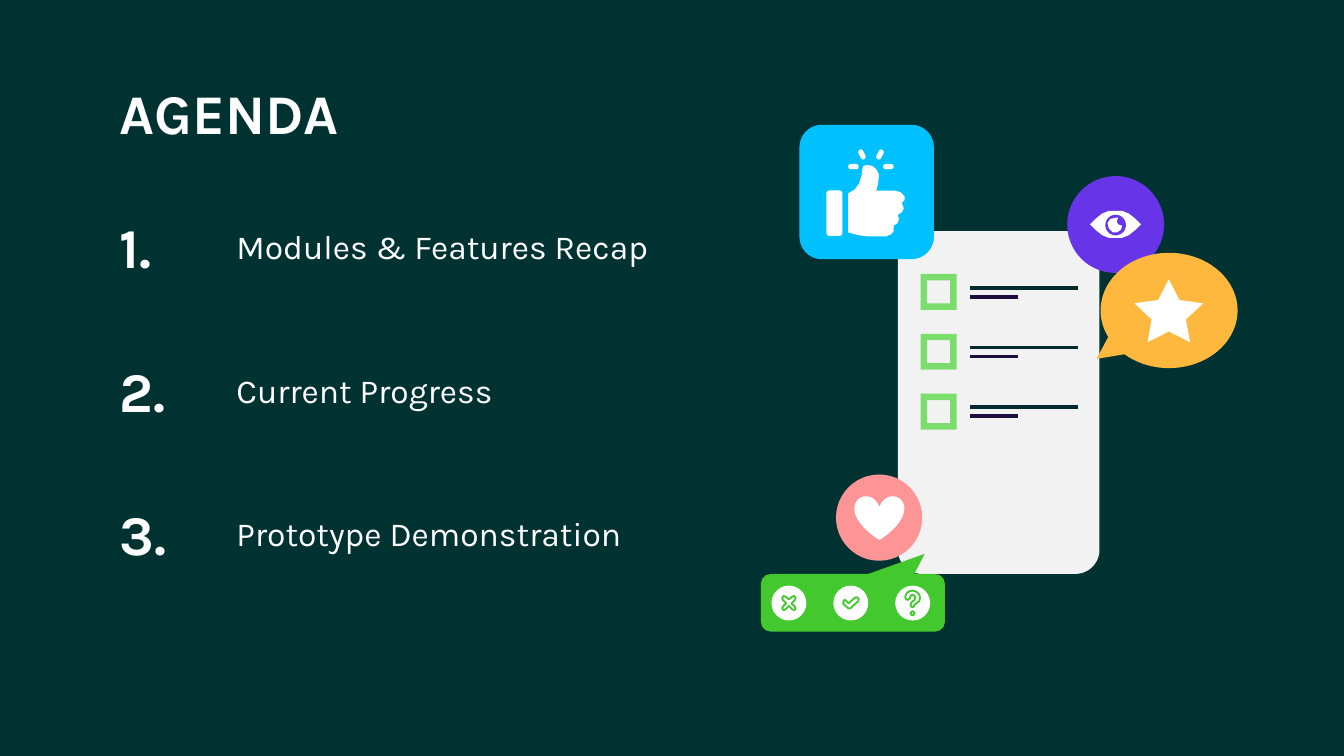
"""Build an agenda slide with three numbered points and a checklist drawing."""
from lxml import etree
from pptx import Presentation
from pptx.dml.color import RGBColor
from pptx.enum.shapes import MSO_CONNECTOR, MSO_SHAPE
from pptx.enum.text import MSO_ANCHOR
from pptx.oxml.ns import qn
from pptx.util import Cm, Pt

LINE = MSO_CONNECTOR.STRAIGHT
ROUND = MSO_SHAPE.ROUNDED_RECTANGLE
OVAL = MSO_SHAPE.OVAL
FRAME = MSO_SHAPE.FRAME
HEART = MSO_SHAPE.HEART
STAR = MSO_SHAPE.STAR_5_POINT
BUBBLE = MSO_SHAPE.OVAL_CALLOUT
BAR = MSO_SHAPE.ROUNDED_RECTANGULAR_CALLOUT
TOP = MSO_ANCHOR.TOP
MIDDLE = MSO_ANCHOR.MIDDLE

COLORS = {
    "back": "003232", "white": "FFFFFF", "page": "F2F2F2", "box": "7BDD6C",
    "long": "012B2E", "short": "1E0C3E", "eye": "6834E8", "bar": "43C82E",
    "like": "00C1FF", "star": "FDB83D", "heart": "FD9597",
}
HEAD = {"name": "Karla", "size": Pt(30), "bold": True}
BODY = {"name": "Karla", "size": Pt(18), "bold": False}
POINTS = ["Modules & Features Recap", "Current Progress", "Prototype Demonstration"]
UNIT = 0.0254

LID = ["811,167 815,163 820,159 825,157 830,157 835,157 840,159 845,163 849,167 "
       "845,171 840,175 835,177 830,177 825,177 820,175 815,171"]
PUPIL = ["830,162 826,163 824,166 825,170 828,173 831,173 834,171 835,168 "
         "832,167 831,165 832,162"]
CROSS = ["583,443.5 584.5,444 587,446 589.5,444 591,443.5 592,445 591.5,446.5 589,449 "
         "591.5,451.5 592,453 591,454 589.5,453.5 587,451 584.5,453.5 583,454 "
         "582,453 582.5,451.5 585,449 582.5,446.5 582,445"]
CHECK = ["591,444.5 592.5,445 593,446 592.5,447.5 587,452.5 586,453 585,452.5 "
         "581.5,449.5 581.5,447.5 582.5,446.5 583.5,447 585.5,449 590,445"]
QUERY = ["587,439.5 590,440.5 592,442.5 592.5,445 592,447.5 590,449 588.5,450 588,451.5 "
         "587,452 586,451.5 585.5,450 586.5,448 588.5,446.5 589,445 588.5,443.5 587,442.5 "
         "585.5,443.5 585,445.5 583.5,446.5 582,446 581.5,444 583,441 585,440",
         "587,455 588,455.5 588.5,456.5 588,457.5 587,458 586,457.5 585.5,456.5 586,455.5"]
HAND = ["644,123 642,124 641,131 639,137 636,141 631,144 631,173 638,175 646,176 659,176 "
        "663,174.5 665,172 665,168 668,166 669,163 668,160 671,158 672.5,155 671,151 "
        "673,149 673,146 670,143 666,142 652,142 653.5,136 654,130 652,126 649,123.5 646,123"]


class Deck:
    """Hold the style and the current slide."""

    def __init__(self, wide, high):
        self.file = Presentation()
        self.file.slide_width, self.file.slide_height = Cm(wide), Cm(high)
        self.slide = self.file.slides.add_slide(self.file.slide_layouts[6])
        self.paint(self.slide.background.fill, "back")

    def paint(self, fill, color):
        fill.solid()
        fill.fore_color.rgb = RGBColor.from_string(COLORS[color])

    def finish(self, shape, color, edge=None):
        shape.shadow.inherit = False
        self.paint(shape.fill, color)
        if edge:
            self.paint(shape.line.fill, edge)
            shape.line.width = Pt(1)
        else:
            shape.line.fill.background()

    def text(self, words, box, style, anchor=MIDDLE):
        frame = self.slide.shapes.add_textbox(*map(Cm, box)).text_frame
        sides = ("left", "top", "right", "bottom")
        form = {f"margin_{side}": Cm(0.25) for side in sides}
        form.update(word_wrap=True, vertical_anchor=anchor)
        for key, value in form.items():
            setattr(frame, key, value)
        run = frame.paragraphs[0].add_run()
        run.text = words
        for key, value in style.items():
            setattr(run.font, key, value)
        run.font.color.rgb = RGBColor.from_string(COLORS["white"])

    def shape(self, kind, box, color, *bends, turn=0):
        shape = self.slide.shapes.add_shape(kind, *map(Cm, box))
        shape.rotation = turn
        for spot, value in enumerate(bends):
            shape.adjustments[spot] = value
        self.finish(shape, color)

    def line(self, left, right, y, color):
        line = self.slide.shapes.add_connector(LINE, Cm(left), Cm(y), Cm(right), Cm(y))
        line.line.width = Pt(2)
        line.line.color.rgb = RGBColor.from_string(COLORS[color])
        etree.SubElement(line._element.spPr, qn("a:effectLst"))

    def icon(self, rings, shift=0, edge=None):
        pen = None
        for ring in rings:
            pairs = [map(float, pair.split(",")) for pair in ring.split()]
            dots = [(Cm((x + shift) * UNIT), Cm(y * UNIT)) for x, y in pairs]
            if pen:
                pen.move_to(*dots[0])
            else:
                pen = self.slide.shapes.build_freeform(*dots[0])
            pen.add_line_segments(dots[1:], close=True)
        self.finish(pen.convert_to_shape(), "white", edge)


def main():
    """Draw the agenda and save it."""
    deck = Deck(25.4, 14.29)
    deck.text("AGENDA", (2.01, 1.24, 21.41, 1.6), HEAD, TOP)
    for row, point in enumerate(POINTS):
        y = 4.04 + 2.71 * row
        deck.text(f"{row + 1}.", (2.01, y, 2.03, 1.24), HEAD)
        deck.text(point, (4.22, y, 8.69, 1.24), BODY)
    deck.shape(ROUND, (16.97, 4.37, 3.81, 6.48), "page", 0.12)
    for row in range(3):
        y = 5.18 + 1.13 * row
        deck.shape(FRAME, (17.4, y, 0.68, 0.68), "box", 0.18)
        deck.line(18.34, 20.37, y + 0.26, "long")
        deck.line(18.34, 19.23, y + 0.43, "short")
    deck.shape(OVAL, (20.17, 3.33, 1.83, 1.83), "eye")
    deck.icon(LID)
    deck.shape(OVAL, (20.89, 4.06, 0.39, 0.39), "eye")
    deck.icon(PUPIL)
    deck.shape(BAR, (14.38, 10.85, 3.48, 1.09), "bar", 0.39, -0.85, 0.17)
    for spot, glyph in enumerate((CROSS, CHECK, QUERY)):
        deck.shape(OVAL, (14.58 + 1.17 * spot, 11.07, 0.66, 0.66), "white")
        deck.icon(glyph, 46 * spot, "bar")
    deck.shape(ROUND, (15.11, 2.36, 2.54, 2.54), "like")
    for x, y, turn in ((16.03, 3.1, 0), (16.19, 2.87, 64), (16.53, 2.87, 116), (16.69, 3.1, 0)):
        deck.shape(ROUND, (x, y, 0.2, 0.1), "white", 0.5, turn=turn)
    deck.shape(ROUND, (15.62, 3.6, 0.3, 0.86), "white", 0.17)
    deck.icon(HAND)
    deck.shape(BUBBLE, (20.8, 4.78, 2.59, 2.18), "star", -0.53, 0.42)
    deck.shape(STAR, (21.44, 5.28, 1.3, 1.19), "white", 0.25)
    deck.shape(OVAL, (15.8, 8.97, 1.63, 1.63), "heart")
    deck.shape(HEART, (16.15, 9.37, 0.94, 0.84), "white")
    deck.file.save("out.pptx")


if __name__ == "__main__":
    main()
